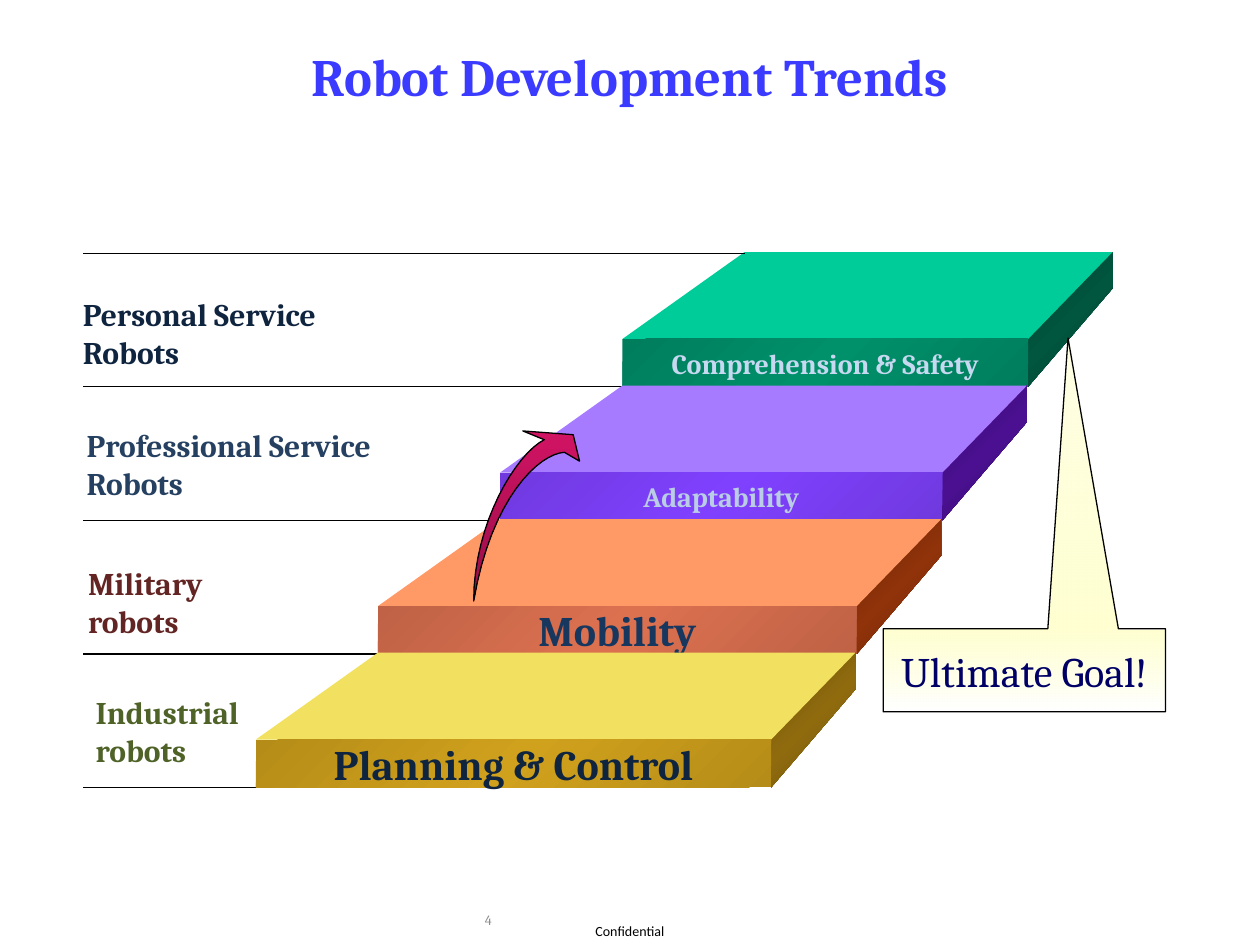
from pptx import Presentation
from pptx.dml.color import RGBColor
from pptx.enum.shapes import MSO_CONNECTOR, MSO_SHAPE
from pptx.enum.text import MSO_ANCHOR, PP_ALIGN
from pptx.oxml.ns import qn
from pptx.util import Inches, Pt
from lxml.etree import SubElement

HUES = {
    "title": "3B3BFF", "black": "000000", "gray": "8C8C8C", "navy": "000066",
    "cream": "FFFFCC", "white": "FFFFFF", "pink": "D11364", "wine": "960E48",
}


class Deck:
    def __init__(self, font):
        self.font = font
        self.prs = Presentation()
        self.prs.slide_width, self.prs.slide_height = Inches(10), Inches(7.5)
        self.slide = self.prs.slides.add_slide(self.prs.slide_layouts[5])
        self.shapes = self.slide.shapes

    def label(self, shape, text, size, hue, bold=False, align=PP_ALIGN.CENTER,
              wrap=True, anchor=MSO_ANCHOR.MIDDLE, font=None):
        frame = shape.text_frame
        frame.word_wrap, frame.vertical_anchor = wrap, anchor
        para = frame.paragraphs[0]
        para.alignment = align
        run = para.add_run()
        run.text = text
        run.font.name, run.font.size = font or self.font, Pt(size)
        run.font.bold = bold
        run.font.color.rgb = RGBColor.from_string(hue)

    def title(self, text, box, size, hue):
        shape = self.shapes.title
        shape.left, shape.top, shape.width, shape.height = map(Inches, box)
        self.label(shape, text, size, hue, True)

    def text(self, text, box, size, hue, **style):
        self.label(self.shapes.add_textbox(*map(Inches, box)), text, size, hue, **style)

    def paint(self, shape, fill, angle=45, line=None):
        """Fill is one hex string or a list of (place, hex, opacity) stops."""
        shape.shadow.inherit = False
        if isinstance(fill, str):
            shape.fill.solid()
            shape.fill.fore_color.rgb = RGBColor.from_string(fill)
        else:
            shape.fill.gradient()
            shape.fill.gradient_angle = 360 - angle
            stops = next(shape._element.iter(qn("a:gsLst")))
            for stop in list(stops):
                stops.remove(stop)
            for place, hue, alpha in fill:
                stop = SubElement(stops, qn("a:gs"), pos=str(place * 1000))
                color = SubElement(stop, qn("a:srgbClr"), val=hue)
                if alpha < 100:
                    SubElement(color, qn("a:alpha"), val=str(alpha * 1000))
        if line is None:
            shape.line.fill.background()
        else:
            shape.line.color.rgb = RGBColor.from_string(HUES["black"])
            shape.line.width = Pt(line)

    def block(self, kind, box, fill, **style):
        shape = self.shapes.add_shape(kind, *map(Inches, box))
        self.paint(shape, fill, **style)
        return shape

    def free(self, points, fill, **style):
        spots = [(Inches(x), Inches(y)) for x, y in points]
        pen = self.shapes.build_freeform(*spots[0])
        pen.add_line_segments(spots[1:], close=True)
        self.paint(pen.convert_to_shape(), fill, **style)

    def rule(self, left, right, y):
        line = self.shapes.add_connector(
            MSO_CONNECTOR.STRAIGHT, Inches(right), Inches(y), Inches(left), Inches(y))
        line.line.color.rgb = RGBColor.from_string(HUES["black"])
        line.line.width = Pt(0.75)
        SubElement(line._element.spPr, qn("a:effectLst"))


def sheen(edge, mid):
    return [(0, edge, 100), (50, mid, 100), (100, edge, 100)]


def curve(a, b, c, d, count=16):
    """Points along a cubic curve."""
    for step in range(count + 1):
        t = step / count
        u = 1 - t
        yield tuple(u**3 * p + 3 * u * u * t * q + 3 * u * t * t * r + t**3 * s
                    for p, q, r, s in zip(a, b, c, d))


deck = Deck("Cambria")

# Title and footer
deck.text("Confidential", (4.5, 7.29, 1, 0.19), 8, HUES["black"], font="Calibri")
deck.title("Robot Development Trends", (0.5, 0.13, 9, 0.94), 30, HUES["title"])
deck.text("4", (3.75, 7.1, 2.33, 0.4), 8, HUES["gray"], align=PP_ALIGN.LEFT)

# Stairs, top step first: skill, size, hue, top, face, side, then the robot kind
STEPS = [
    ("Comprehension & Safety", 16, "C6D9F1", "00CC99", ("007D5C", "00906A"),
     ("003E2D", "00563F"), "Personal Service Robots", "0F243E", (0.56, 2.29, 2.75, 0.4)),
    ("Adaptability", 16, "B9CDE5", "A77BFF", ("6F39DE", "8041FF"),
     ("360B68", "4B1092"), "Professional Service Robots", "254061", (0.59, 3.33, 3.1, 0.4)),
    ("Mobility", 24, "17375E", "FF9966", ("BF6246", "DC7150"),
     ("672407", "90330A"), "Military robots", "632523", (0.6, 4.43, 1.75, 0.4)),
    ("Planning & Control", 24, "0F243E", "F2E160", ("B58C18", "D0A11C"),
     ("674D0A", "906B0E"), "Industrial robots", "4F6228", (0.66, 5.45, 1.95, 0.4)),
]
EDGE, DEPTH, RISE, TALL = 0.66, 0.67, 0.69, 0.38
for i, (skill, size, hue, top, face, side, robot, ink, box) in enumerate(STEPS):
    x, y, wide = 4.94 - 0.97 * i, 2.69 + 1.06 * i, 3.22 + 0.29 * i
    right, back, base = x + wide, y - RISE, y + TALL
    far = right + DEPTH
    deck.free([(far, back + 0.29), (right, base), (right, y), (far, back)], sheen(*side))
    deck.free([(right, y), (x, y), (x + 0.97, back), (far, back)], top)
    if i == 0:
        deck.rule(EDGE, x + 0.97, back + 0.01)
    deck.rule(EDGE, x, base)
    front = deck.block(MSO_SHAPE.RECTANGLE, (x, y, wide, TALL), sheen(*face))
    deck.label(front, skill, size, hue, True, wrap=False)
    deck.text(robot, box, 18, ink, bold=True, align=PP_ALIGN.LEFT, anchor=MSO_ANCHOR.TOP)

# Callout
goal = deck.block(MSO_SHAPE.RECTANGULAR_CALLOUT, (7.01, 4.99, 2.24, 0.66),
                  [(0, HUES["cream"], 51), (100, HUES["white"], 100)], angle=90, line=0.75)
goal.adjustments[0], goal.adjustments[1] = 0.155, -3.996
deck.label(goal, "Ultimate Goal!", 24, HUES["navy"])

# Curved arrow
tail = (3.76, 4.77)
outer = curve(tail, (3.76, 4.15), (4.1, 3.6), (4.32, 3.49))
inner = curve((4.48, 3.59), (4.28, 3.6), (3.9, 3.95), tail)
deck.free([*outer, (4.15, 3.42), (4.55, 3.45), (4.6, 3.66), *inner],
          [(0, HUES["pink"], 100), (100, HUES["wine"], 100)], angle=90, line=0)

deck.prs.save("out.pptx")
